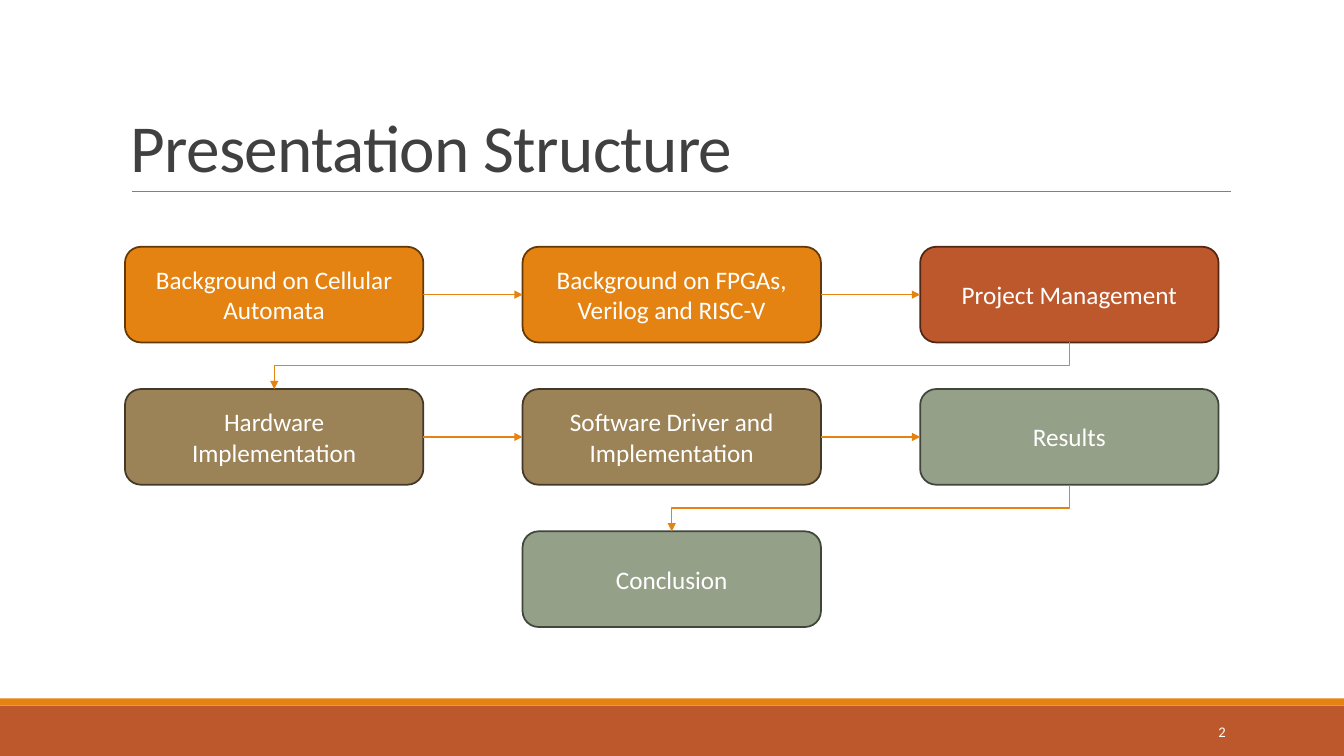
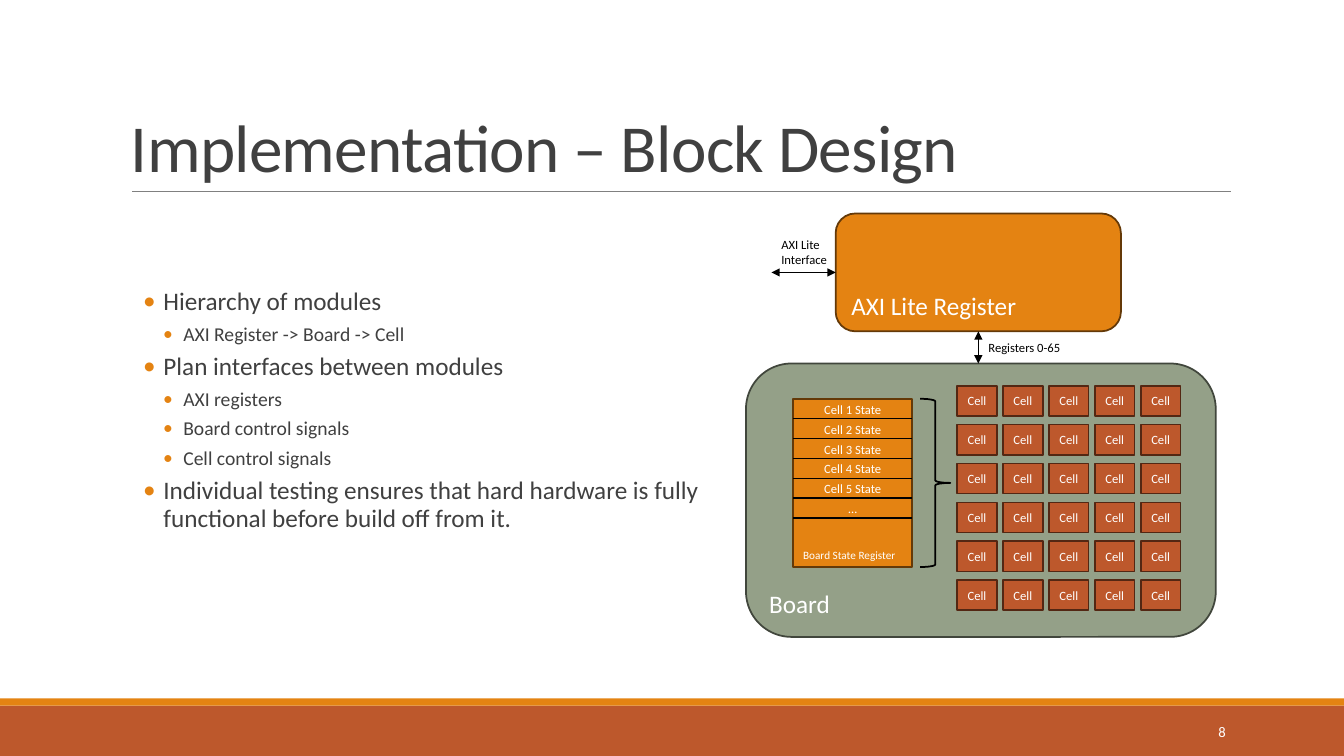
from itertools import pairwise, product

from lxml import etree
from pptx import Presentation
from pptx import util as u
from pptx.dml.color import RGBColor
from pptx.enum import shapes, text
from pptx.oxml import ns

Cm, Pt = u.Cm, u.Pt
SHAPE, LINK = shapes.MSO_SHAPE, shapes.MSO_CONNECTOR
ALIGN, ANCHOR = text.PP_ALIGN, text.MSO_ANCHOR
TOP, LEFT, BOTTOM, RIGHT = range(4)

# Colours: fills with their outline shades
ORANGE, ORANGE_EDGE = RGBColor(0xE4, 0x83, 0x12), RGBColor(0x64, 0x39, 0x08)
RUST, RUST_EDGE = RGBColor(0xBD, 0x58, 0x2C), RGBColor(0x53, 0x27, 0x13)
TAN, TAN_EDGE = RGBColor(0x9B, 0x83, 0x57), RGBColor(0x44, 0x39, 0x26)
SAGE, SAGE_EDGE = RGBColor(0x94, 0xA0, 0x88), RGBColor(0x41, 0x46, 0x3C)
EDGES = {ORANGE: ORANGE_EDGE, RUST: RUST_EDGE, TAN: TAN_EDGE, SAGE: SAGE_EDGE}
INK, GREY = RGBColor(0x40, 0x40, 0x40), RGBColor(0x80, 0x80, 0x80)
BLACK, WHITE = RGBColor(0, 0, 0), RGBColor(0xFF, 0xFF, 0xFF)

FONT = "Calibri"
SLIDE_W, SLIDE_H = 33.87, 19.05
BAND_TOP, STRIPE_H = 17.78, 0.18
TITLE_BOX = (3.05, 0.79, 27.94, 4.04)
PAGE_BOX = (27.51, 17.93, 3.63, 1.02)


# Shared helpers
def apply(target, values):
    for key, value in values.items():
        setattr(target, key, value)


def lengths(*values):
    return [Cm(value) for value in values]


def add_text(frame, words, size, color=WHITE, align=ALIGN.LEFT,
             anchor=ANCHOR.MIDDLE, **frame_format):
    apply(frame, {"word_wrap": True, "vertical_anchor": anchor, **frame_format})
    paragraph = frame.paragraphs[0]
    paragraph.alignment = align
    return add_run(paragraph, words, size, color)


def add_run(paragraph, words, size, color):
    run = paragraph.add_run()
    run.text = words
    apply(run.font, {"name": FONT, "size": Pt(size)})
    run.font.color.rgb = color
    return run


def add_label(slide, box, words, size, color=WHITE, **text_format):
    frame = slide.shapes.add_textbox(*lengths(*box)).text_frame
    return add_text(frame, words, size, color, **text_format)


def add_block(slide, box, fill, kind=SHAPE.RECTANGLE, edge=True):
    block = slide.shapes.add_shape(kind, *lengths(*box))
    block.shadow.inherit = False
    block.fill.solid()
    block.fill.fore_color.rgb = fill
    if edge:
        block.line.color.rgb = EDGES[fill]
        block.line.width = Pt(1.25)
    else:
        block.line.fill.background()
    return block


def add_line(slide, ends, color, width=1, kind=LINK.STRAIGHT, arrows=()):
    line = slide.shapes.add_connector(kind, *ends)
    line.line.color.rgb = color
    line.line.width = Pt(width)
    for end in arrows:
        etree.SubElement(line.line._get_or_add_ln(), ns.qn(f"a:{end}"), type="triangle")
    etree.SubElement(line._element.spPr, ns.qn("a:effectLst"))
    return line


def middle(shape):
    return shape.left + shape.width // 2, shape.top + shape.height // 2


def new_slide(deck, title, number):
    slide = deck.slides.add_slide(deck.slide_layouts[6])
    # Footer bands and page number
    add_block(slide, (0, BAND_TOP, SLIDE_W, SLIDE_H - BAND_TOP), RUST, edge=False)
    add_block(slide, (0, BAND_TOP - STRIPE_H, SLIDE_W, STRIPE_H), ORANGE, edge=False)
    add_label(slide, PAGE_BOX, str(number), 10.5, align=ALIGN.RIGHT)
    # Title and rule
    add_line(slide, lengths(3.33, 4.83, 31.01, 4.83), GREY, 0.5)
    frame = slide.shapes.add_textbox(*lengths(*TITLE_BOX)).text_frame
    run = add_text(frame, title, 48, INK, anchor=ANCHOR.BOTTOM)
    run.font._element.set("spc", "-50")
    frame.paragraphs[0].line_spacing = 0.85
    return slide


# Slide: presentation structure
STEPS = [  # column, row, fill, words
    (0, 0, ORANGE, "Background on Cellular Automata"),
    (1, 0, ORANGE, "Background on FPGAs, Verilog and RISC-V"),
    (2, 0, RUST, "Project Management"),
    (0, 1, TAN, "Hardware Implementation"),
    (1, 1, TAN, "Software Driver and Implementation"),
    (2, 1, SAGE, "Results"),
    (1, 2, SAGE, "Conclusion"),
]


def link_to_next_row(slide, start, end):
    """Elbow that leaves downwards: a horizontal elbow turned by 90 degrees."""
    x1, x2 = middle(start)[0], middle(end)[0]
    y1, y2 = start.top + start.height, end.top
    center_x, center_y = (x1 + x2) // 2, (y1 + y2) // 2
    half_w, half_h = (y2 - y1) // 2, (x1 - x2) // 2
    ends = (center_x - half_w, center_y - half_h, center_x + half_w, center_y + half_h)
    elbow = add_line(slide, ends, ORANGE, kind=LINK.ELBOW, arrows=["tailEnd"])
    elbow._element.spPr.find(ns.qn("a:xfrm")).set("rot", "5400000")


def draw_flow(slide, box):
    left, top, width, height = box
    step_w, step_h = 7.52, 2.41
    pitch_x, pitch_y = (width - step_w) / 2, (height - step_h) / 2
    steps = []
    for column, row, fill, words in STEPS:
        place = (left + column * pitch_x, top + row * pitch_y, step_w, step_h)
        step = add_block(slide, place, fill, SHAPE.ROUNDED_RECTANGLE)
        add_text(step.text_frame, words, 18, align=ALIGN.CENTER)
        steps.append(step)
    for start, end in pairwise(steps):
        if start.top == end.top:
            arrow = add_line(slide, (0, 0, 0, 0), ORANGE, arrows=["tailEnd"])
            arrow.begin_connect(start, RIGHT)
            arrow.end_connect(end, LEFT)
        else:
            link_to_next_row(slide, start, end)


# Slide: block design
POINTS = [  # level, words
    (0, "Hierarchy of modules"),
    (1, "AXI Register -> Board -> Cell"),
    (0, "Plan interfaces between modules"),
    (1, "AXI registers"),
    (1, "Board control signals"),
    (1, "Cell control signals"),
    (0, "Individual testing ensures that hard hardware is fully functional "
        "before build off from it."),
]
STATES = [f"Cell {number} State" for number in range(1, 6)] + ["…"]
BOTH_ENDS = ["headEnd", "tailEnd"]


def draw_points(slide, box):
    frame = slide.shapes.add_textbox(*lengths(*box)).text_frame
    apply(frame, {"word_wrap": True, "vertical_anchor": ANCHOR.MIDDLE,
                  "margin_left": 0, "margin_right": 0})
    for index, (level, words) in enumerate(POINTS):
        paragraph = frame.add_paragraph() if index else frame.paragraphs[0]
        apply(paragraph, {"level": level, "line_spacing": 0.9,
                          "space_before": Pt(2), "space_after": Pt(4)})
        props = paragraph._p.get_or_add_pPr()
        props.set("marL", str(Cm(1.07 + 0.5 * level)))
        props.set("indent", str(-Cm(0.51)))
        bullet_color = etree.SubElement(props, ns.qn("a:buClr"))
        etree.SubElement(bullet_color, ns.qn("a:srgbClr"), val=str(ORANGE))
        etree.SubElement(props, ns.qn("a:buFont"), typeface=FONT)
        etree.SubElement(props, ns.qn("a:buChar"), char="•")
        add_run(paragraph, words, 14 if level else 18, INK)


def draw_state_register(slide, box):
    left, top, width, _ = box
    row_h = 0.5
    register = add_block(slide, box, ORANGE)
    add_text(register.text_frame, "Board State Register", 8, anchor=ANCHOR.BOTTOM)
    for row, state in enumerate(STATES):
        row_top = top + row * row_h
        rule_y = row_top + row_h
        add_line(slide, lengths(left, rule_y, left + width, rule_y), BLACK)
        add_label(slide, (left, row_top - 0.05, width, 0.63), state, 9,
                  align=ALIGN.CENTER)


def draw_cells(slide, box):
    left, top, width, height = box
    columns, rows, cell_w, cell_h = 5, 6, 1, 0.76
    pitch_x = (width - cell_w) / (columns - 1)
    pitch_y = (height - cell_h) / (rows - 1)
    for row, column in product(range(rows), range(columns)):
        place = (left + column * pitch_x, top + row * pitch_y, cell_w, cell_h)
        cell = add_block(slide, place, RUST)
        add_text(cell.text_frame, "Cell", 9, align=ALIGN.CENTER,
                 margin_left=0, margin_right=0)


def draw_board(slide, box):
    left, top, _, _ = box
    board = add_block(slide, box, SAGE, SHAPE.ROUNDED_RECTANGLE)
    add_text(board.text_frame, "Board", 18, anchor=ANCHOR.BOTTOM)
    draw_state_register(slide, (left + 1.19, top + 0.89, 3, 4.24))
    brace = slide.shapes.add_shape(
        SHAPE.RIGHT_BRACE, *lengths(left + 4.39, top + 0.89, 0.76, 4.24))
    brace.shadow.inherit = False
    brace.fill.background()
    brace.line.color.rgb = BLACK
    brace.line.width = Pt(1.25)
    draw_cells(slide, (left + 5.32, top + 0.56, 5.63, 5.66))
    return board


def draw_block_design(slide, box):
    left, top, width, height = box
    # AXI register and its outer interface
    axi = add_block(slide, (left + 2.26, top, 7.19, 2.97), ORANGE,
                    SHAPE.ROUNDED_RECTANGLE)
    add_text(axi.text_frame, "AXI Lite Register", 18, anchor=ANCHOR.BOTTOM)
    axi_x, axi_y = middle(axi)
    interface = add_line(slide, (Cm(left + 0.64), axi_y, axi.left, axi_y), BLACK,
                         arrows=BOTH_ENDS)
    interface.end_connect(axi, LEFT)
    add_label(slide, (left + 0.64, top + 0.46, 1.85, 1.02), "AXI Lite Interface", 9,
              BLACK, anchor=ANCHOR.TOP)
    # Board and the link between the two
    board = draw_board(slide, (left, top + 3.78, width, height - 3.78))
    registers = add_line(slide, (axi_x, axi.top + axi.height, axi_x, board.top), BLACK,
                         arrows=BOTH_ENDS)
    registers.begin_connect(axi, BOTTOM)
    add_label(slide, (left + 5.86, top + 3.05, 4.5, 0.63), "Registers 0-65", 9, BLACK)


def main():
    deck = Presentation()
    apply(deck, {"slide_width": Cm(SLIDE_W), "slide_height": Cm(SLIDE_H)})

    structure = new_slide(deck, "Presentation Structure", 2)
    draw_flow(structure, (3.15, 6.22, 27.56, 9.58))

    design = new_slide(deck, "Implementation – Block Design", 8)
    draw_points(design, (3.05, 5.13, 15.34, 10.43))
    draw_block_design(design, (18.8, 5.38, 11.84, 10.67))

    deck.save("out.pptx")


if __name__ == "__main__":
    main()
